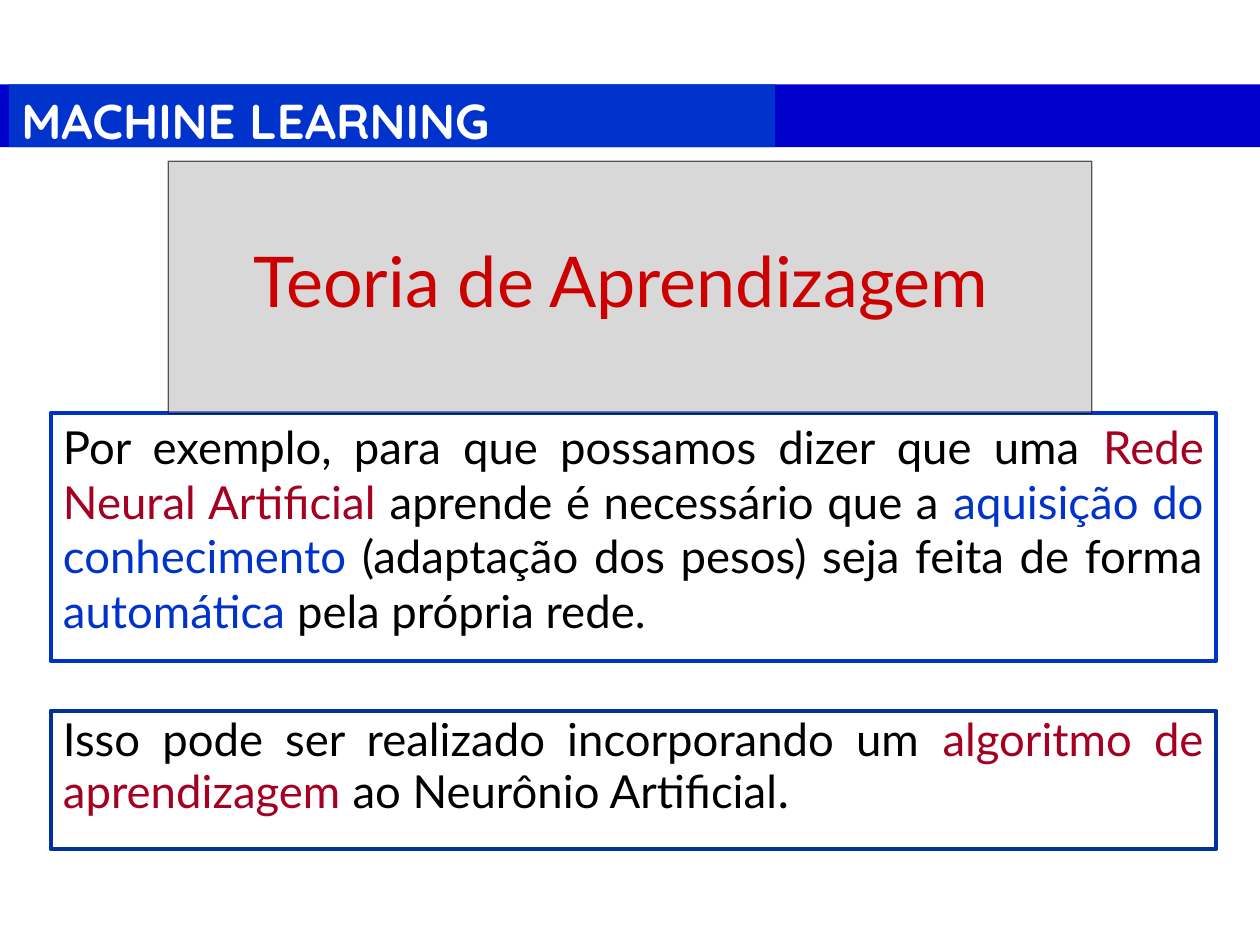
"""Build the slide on learning theory."""
from dataclasses import dataclass
from typing import Optional

from lxml.etree import SubElement
from pptx import Presentation
from pptx.dml.color import RGBColor
from pptx.enum.shapes import MSO_SHAPE
from pptx.enum.text import MSO_ANCHOR, MSO_AUTO_SIZE, PP_ALIGN
from pptx.oxml.ns import qn
from pptx.util import Cm, Pt

SLIDE_WIDTH, SLIDE_HEIGHT = 25.4, 19.05
BLACK, WHITE, RED, BLUE = "000000", "FFFFFF", "A50021", "0033CC"


@dataclass
class Phrase:
    text: str
    color: str = BLACK
    size: Optional[float] = None


@dataclass
class Statement:
    top: float
    height: float
    border: str
    phrases: list[Phrase]
    line_spacing: Optional[float] = None


STATEMENTS = [
    Statement(8.33, 5, BLUE, [
        Phrase("Por exemplo, para que possamos dizer que uma "),
        Phrase("Rede Neural Artificial", RED),
        Phrase(" aprende é necessário que a "),
        Phrase("aquisição do conhecimento", BLUE),
        Phrase(" (adaptação dos pesos) seja feita de forma "),
        Phrase("automática", BLUE),
        Phrase(" pela própria rede. "),
    ]),
    Statement(14.33, 2.79, "003399", [
        Phrase("Isso pode ser realizado incorporando um "),
        Phrase("algoritmo de aprendizagem ", RED),
        Phrase("ao Neurônio Artificial"),
        Phrase(".", size=28),
    ], 0.9),
]


def rgb(color: str) -> RGBColor:
    """Turn a hex string into a colour."""
    return RGBColor.from_string(color)


def paint(shape, fill: str, border: Optional[str] = None, width: float = 0) -> None:
    """Give a shape its fill and its border, if any."""
    shape.fill.solid()
    shape.fill.fore_color.rgb = rgb(fill)
    if border:
        shape.line.color.rgb = rgb(border)
        shape.line.width = Pt(width)
    else:
        shape.line.fill.background()


def set_opacity(shape, fill_percent: int, line_percent: int) -> None:
    """Make the solid fill and the line of a shape partly transparent."""
    colors = shape._element.spPr.iter(qn("a:srgbClr"))
    for color, percent in zip(list(colors), (fill_percent, line_percent)):
        SubElement(color, qn("a:alpha")).set("val", str(percent * 1000))


def add_rectangle(shapes, left: float, top: float, width: float, height: float):
    """Add a rectangle without shadow, measured in centimetres."""
    rectangle = shapes.add_shape(
        MSO_SHAPE.RECTANGLE, Cm(left), Cm(top), Cm(width), Cm(height))
    rectangle.shadow.inherit = False
    return rectangle


def write(shape, phrases: list[Phrase], font: str, size: float, align: PP_ALIGN,
          anchor: MSO_ANCHOR = MSO_ANCHOR.TOP,
          line_spacing: Optional[float] = None, bold: bool = False) -> None:
    """Write one paragraph of coloured phrases into a shape."""
    frame = shape.text_frame
    frame.word_wrap = True
    frame.auto_size = MSO_AUTO_SIZE.NONE
    frame.vertical_anchor = anchor
    paragraph = frame.paragraphs[0]
    paragraph.alignment = align
    paragraph.line_spacing = line_spacing
    paragraph.font.name = font
    paragraph.font.size = Pt(size)
    paragraph.font.bold = bold
    for phrase in phrases:
        run = paragraph.add_run()
        run.text = phrase.text
        run.font.color.rgb = rgb(phrase.color)
        if phrase.size:
            run.font.size = Pt(phrase.size)


def add_header(slide) -> None:
    """Add the two-tone band with the course name."""
    header = slide.shapes.add_group_shape()
    band = add_rectangle(header.shapes, 0, 1.7, SLIDE_WIDTH, 1.27)
    paint(band, "0000CC")
    course = add_rectangle(header.shapes, 0.18, 1.7, 15.44, 1.27)
    paint(course, BLUE)
    write(course, [Phrase("MACHINE LEARNING", WHITE)], "Quicksand", 28,
          PP_ALIGN.LEFT, bold=True)


def add_statement(slide, statement: Statement) -> None:
    """Add a bordered box with a justified statement."""
    box = add_rectangle(slide.shapes, 1.02, statement.top, 23.5, statement.height)
    paint(box, WHITE, statement.border, 2.25)
    write(box, statement.phrases, "Lato", 26, PP_ALIGN.JUSTIFY,
          line_spacing=statement.line_spacing)


def place_title(slide) -> None:
    """Format the title as a translucent grey panel in front of the boxes."""
    title = slide.shapes.title
    width = 18.62
    title.left, title.top = Cm((SLIDE_WIDTH - width) / 2), Cm(3.25)
    title.width, title.height = Cm(width), Cm(5.08)
    paint(title, "B2B2B2", BLACK, 0.75)
    set_opacity(title, 50, 61)
    write(title, [Phrase("Teoria de Aprendizagem ", "CC0000")], "Lato", 40,
          PP_ALIGN.CENTER, MSO_ANCHOR.MIDDLE, 0.8)
    slide.shapes._spTree.append(title._element)


def main() -> None:
    """Build and save the presentation."""
    presentation = Presentation()
    presentation.slide_width = Cm(SLIDE_WIDTH)
    presentation.slide_height = Cm(SLIDE_HEIGHT)
    slide = presentation.slides.add_slide(presentation.slide_layouts[5])
    add_header(slide)
    for statement in STATEMENTS:
        add_statement(slide, statement)
    place_title(slide)
    presentation.save("out.pptx")


if __name__ == "__main__":
    main()
